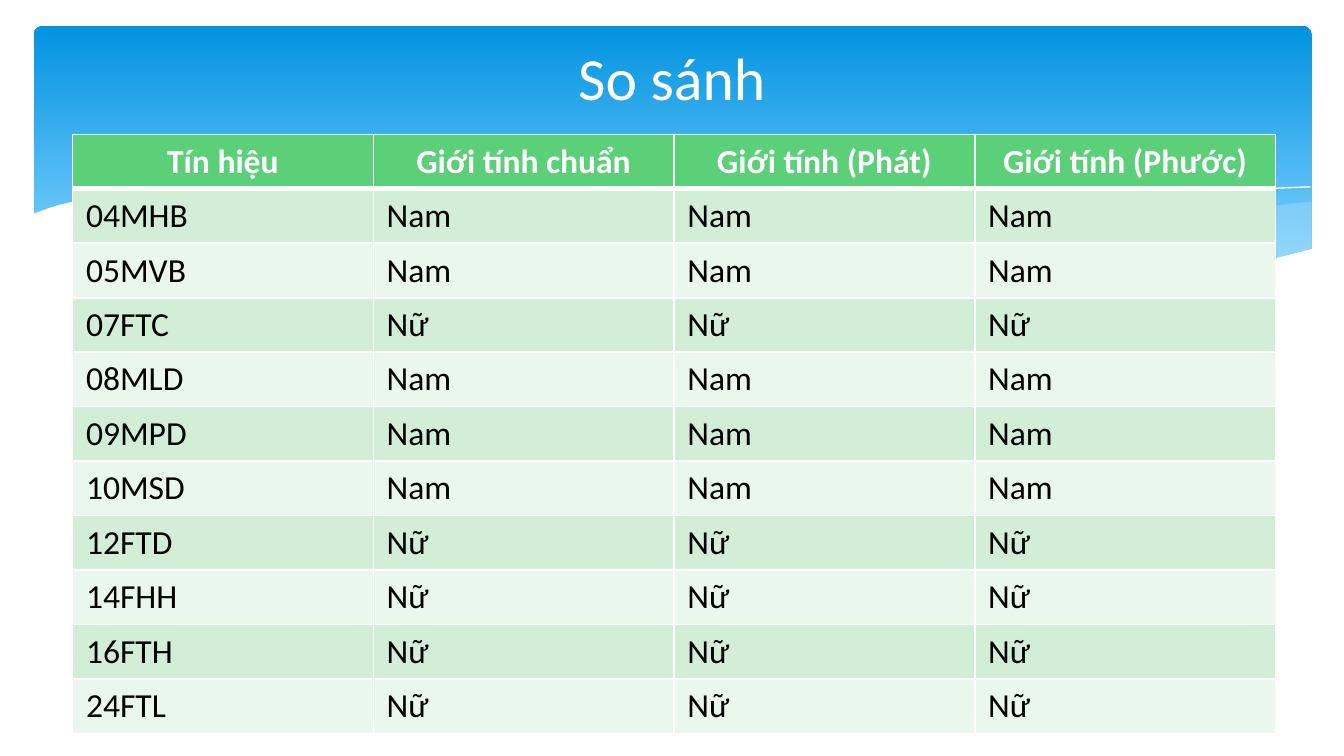
from lxml.etree import SubElement
from pptx import Presentation
from pptx.dml.color import RGBColor
from pptx.enum.shapes import MSO_SHAPE
from pptx.enum.text import MSO_ANCHOR, PP_ALIGN
from pptx.oxml import parse_xml
from pptx.oxml.ns import nsdecls, qn
from pptx.util import Inches, Pt

WHITE = RGBColor(0xFF, 0xFF, 0xFF)
BLACK = RGBColor(0x00, 0x00, 0x00)
SKY_DARK = RGBColor(0x02, 0x93, 0xE0)
SKY_LIGHT = RGBColor(0x83, 0xD3, 0xFE)
MIST = RGBColor(0xC6, 0xE7, 0xFC)
HEADER_GREEN = RGBColor(0x5B, 0xD0, 0x78)
BAND_GREENS = (RGBColor(0xD2, 0xEE, 0xD6), RGBColor(0xEA, 0xF7, 0xEC))
FONT = "Calibri"

RIGHT_SWELL = [
    (952, 12), (925, 15), (898, 19), (868, 24), (838, 29), (782, 39),
    (730, 48), (683, 55), (638, 61), (668, 64), (709, 67), (758, 70),
    (812, 70), (858, 67), (898, 61), (926, 55), (953, 47), (953, 12),
]
LONG_SWELL = [
    (870, 66), (814, 61), (752, 53), (683, 42), (606, 28), (561, 20),
    (518, 14), (466, 8), (419, 4), (376, 1), (338, 1), (290, 3), (263, 6),
    (300, 9), (360, 17), (426, 28), (507, 42), (578, 53), (642, 62),
    (699, 67), (762, 70), (815, 70),
]
FALLING_CREST = [
    (286, 9), (305, 6), (340, 3), (393, 2), (446, 3), (510, 7),
    (585, 15), (672, 26), (772, 43), (846, 57), (884, 66),
]
RISING_CREST = [
    (590, 54), (649, 43), (725, 29), (783, 20), (843, 11), (887, 6),
    (928, 2), (952, 1),
]
FOAM = [
    (954, 47), (927, 54), (897, 61), (864, 65), (827, 68), (786, 69),
    (738, 68), (685, 65), (625, 58), (556, 49), (480, 37), (424, 27),
    (368, 17), (317, 10), (269, 5), (227, 2), (188, 0), (154, 0),
    (123, 1), (96, 2), (72, 5), (53, 8), (36, 11), (23, 14), (13, 17),
    (0, 22), (0, 109), (954, 109),
]

HEADINGS = ["Tín hiệu", "Giới tính chuẩn", "Giới tính (Phát)", "Giới tính (Phước)"]
GENDERS = {
    "04MHB": "Nam", "05MVB": "Nam", "07FTC": "Nữ", "08MLD": "Nam",
    "09MPD": "Nam", "10MSD": "Nam", "12FTD": "Nữ", "14FHH": "Nữ",
    "16FTH": "Nữ", "24FTL": "Nữ",
}


def add_banner(slide, left, top, width, height):
    banner = slide.shapes.add_shape(MSO_SHAPE.ROUNDED_RECTANGLE, left, top, width, height)
    banner.adjustments[0] = 0.034
    banner.shadow.inherit = False
    banner.line.fill.background()
    banner.fill.gradient()
    banner.fill.gradient_angle = 270
    for stop, position, color in zip(
        banner.fill.gradient_stops, (0, 0.9), (SKY_DARK, SKY_LIGHT)
    ):
        stop.position = position
        stop.color.rgb = color


def add_curve(slide, left, top, points, closed):
    builder = slide.shapes.build_freeform(*points[0], scale=Inches(0.01))
    builder.add_line_segments(points[1:], close=closed)
    curve = builder.convert_to_shape(left, top)
    curve.shadow.inherit = False
    return curve


def add_wave(slide, left, top, points, color, opacity=100):
    wave = add_curve(slide, left, top, points, True)
    wave.line.fill.background()
    wave.fill.solid()
    wave.fill.fore_color.rgb = color
    if opacity < 100:
        tint = next(wave.element.spPr.iter(qn("a:srgbClr")))
        SubElement(tint, qn("a:alpha"), val=str(opacity * 1000))


def add_crest(slide, left, top, points):
    crest = add_curve(slide, left, top, points, False)
    crest.fill.background()
    crest.line.color.rgb = WHITE
    crest.line.width = Pt(0)


def add_waves(slide, left, top):
    add_wave(slide, left, top, RIGHT_SWELL, MIST, 29)
    add_wave(slide, left, top, LONG_SWELL, MIST, 40)
    add_crest(slide, left, top, FALLING_CREST)
    add_crest(slide, left, top, RISING_CREST)
    add_wave(slide, left, top, FOAM, WHITE)


def format_text(paragraph, size, color, bold=False):
    font = paragraph.runs[0].font
    font.name = FONT
    font.size = Pt(size)
    font.bold = bold
    font.color.rgb = color


def add_title(slide, left, top, width, height):
    title = slide.shapes.add_textbox(left, top, width, height).text_frame
    title.word_wrap = True
    title.vertical_anchor = MSO_ANCHOR.MIDDLE
    title.text = "So sánh"
    title.paragraphs[0].alignment = PP_ALIGN.CENTER
    format_text(title.paragraphs[0], 32, WHITE)


def set_borders(cell, top_width, bottom_width):
    widths = {"L": 1, "R": 1, "T": top_width, "B": bottom_width}
    properties = cell._tc.get_or_add_tcPr()
    for index, (side, width) in enumerate(widths.items()):
        border = parse_xml(
            f'<a:ln{side} {nsdecls("a")} w="{Pt(width)}"><a:solidFill>'
            f'<a:srgbClr val="{WHITE}"/></a:solidFill></a:ln{side}>'
        )
        properties.insert(index, border)


def add_comparison(slide, left, top, width, height):
    rows = [HEADINGS] + [[signal] + [gender] * 3 for signal, gender in GENDERS.items()]
    table = slide.shapes.add_table(
        len(rows), len(HEADINGS), left, top, width, height
    ).table
    for row_index, row in enumerate(rows):
        is_header = row_index == 0
        for column_index, wording in enumerate(row):
            cell = table.cell(row_index, column_index)
            cell.text = wording
            cell.vertical_anchor = MSO_ANCHOR.MIDDLE
            cell.fill.solid()
            cell.fill.fore_color.rgb = (
                HEADER_GREEN if is_header else BAND_GREENS[(row_index - 1) % 2]
            )
            paragraph = cell.text_frame.paragraphs[0]
            paragraph.alignment = PP_ALIGN.CENTER if is_header else PP_ALIGN.LEFT
            format_text(paragraph, 18, WHITE if is_header else BLACK, is_header)
            set_borders(cell, 3 if row_index == 1 else 1, 3 if is_header else 1)


def main():
    presentation = Presentation()
    presentation.slide_width = Inches(10)
    presentation.slide_height = presentation.slide_width * 9 // 16
    slide = presentation.slides.add_slide(presentation.slide_layouts[6])
    add_banner(slide, Inches(0.25), Inches(0.19), Inches(9.51), Inches(2.02))
    add_waves(slide, Inches(0.23), Inches(1.38))
    add_title(slide, Inches(0.5), Inches(0.21), Inches(9), Inches(0.72))
    add_comparison(slide, Inches(0.54), Inches(1), Inches(8.95), Inches(4.46))
    presentation.save("out.pptx")


if __name__ == "__main__":
    main()
